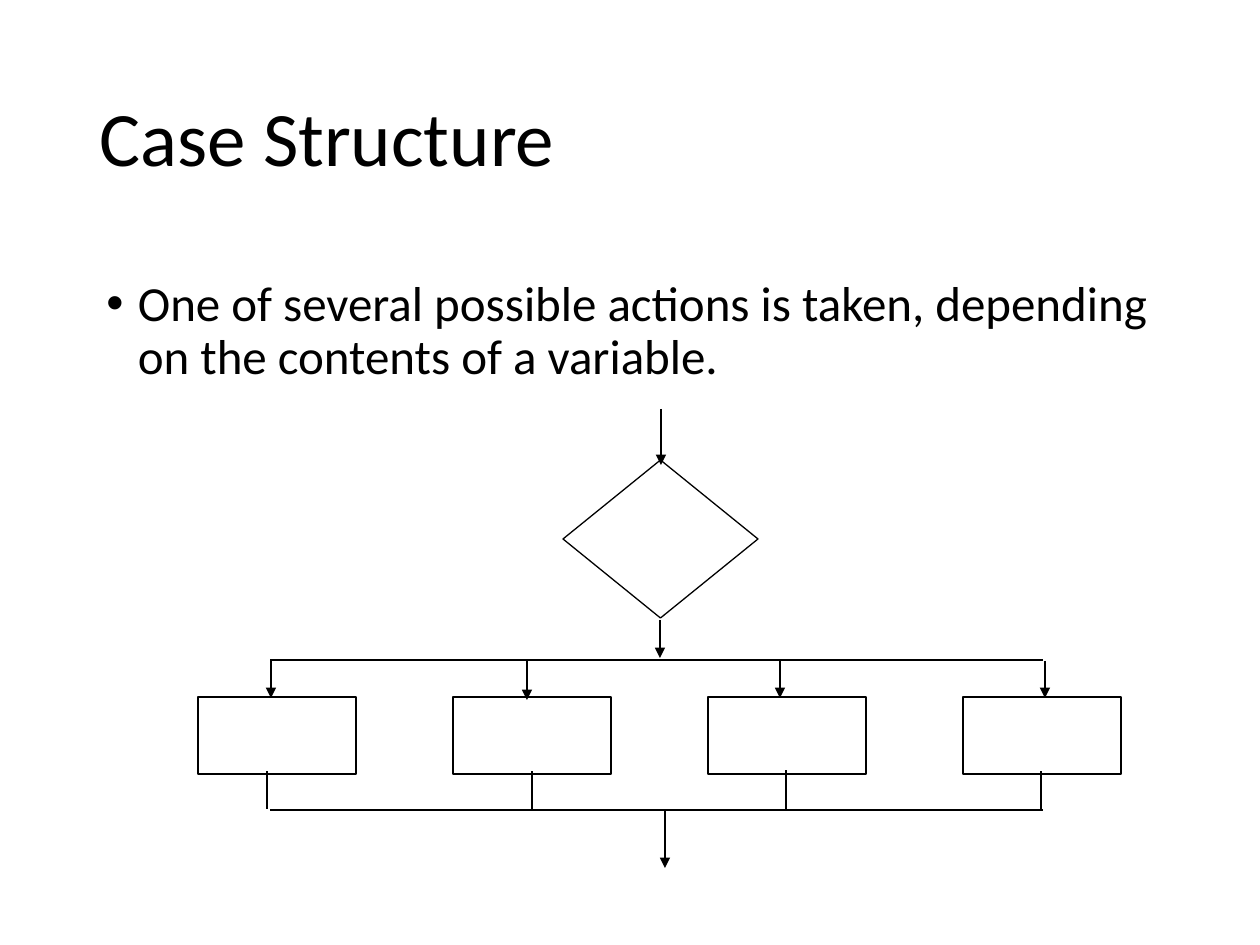
"""Build the Case Structure slide with its branching flowchart."""
from typing import NamedTuple

from lxml import etree
from pptx import Presentation
from pptx.dml.color import RGBColor
from pptx.enum.shapes import MSO_CONNECTOR, MSO_SHAPE
from pptx.enum.text import MSO_ANCHOR
from pptx.oxml.ns import qn
from pptx.util import Inches, Pt

PX = Inches(1) // 126
COLORS = {"ink": "000000", "paper": "FFFFFF"}
FONT = "Calibri"
LINE_WIDTH = Pt(0.75)


class Box(NamedTuple):
    """Position and size in pixels."""
    left: int
    top: int
    width: int
    height: int


class Line(NamedTuple):
    """Line from one point to another in pixels."""
    x1: int
    y1: int
    x2: int
    y2: int
    arrow: bool = False


class Branch(NamedTuple):
    """Entry arrow and exit line of one action."""
    entry_x: int
    entry_end: int
    exit_x: int
    exit_top: int


def ink(name: str) -> RGBColor:
    """Return a named colour."""
    return RGBColor.from_string(COLORS[name])


def add_text(slide, box: Box, text: str, size: int, anchor: MSO_ANCHOR):
    """Add a wrapped text box and return its paragraph."""
    frame = slide.shapes.add_textbox(*(v * PX for v in box)).text_frame
    frame.word_wrap = True
    frame.vertical_anchor = anchor
    paragraph = frame.paragraphs[0]
    paragraph.line_spacing = 0.9
    run = paragraph.add_run()
    run.text = text
    run.font.name = FONT
    run.font.size = Pt(size)
    run.font.color.rgb = ink("ink")
    return paragraph


def add_bullet(paragraph) -> None:
    """Give a paragraph a hanging round bullet."""
    props = paragraph._p.get_or_add_pPr()
    props.set("marL", str(Inches(0.25)))
    props.set("indent", str(-Inches(0.25)))
    etree.SubElement(props, qn("a:buFont"), typeface="Arial")
    etree.SubElement(props, qn("a:buChar"), char="•")


def add_node(slide, kind: MSO_SHAPE, box: Box) -> None:
    """Add an outlined flowchart shape without fill."""
    node = slide.shapes.add_shape(kind, *(v * PX for v in box))
    node.shadow.inherit = False
    node.fill.background()
    node.line.color.rgb = ink("ink")
    node.line.width = LINE_WIDTH


def add_line(slide, line: Line) -> None:
    """Add a straight line, with an arrowhead if asked."""
    connector = slide.shapes.add_connector(
        MSO_CONNECTOR.STRAIGHT, *(v * PX for v in line[:4]))
    connector.line.color.rgb = ink("ink")
    connector.line.width = LINE_WIDTH
    if line.arrow:
        etree.SubElement(connector.line._get_or_add_ln(), qn("a:tailEnd"), type="triangle")
    etree.SubElement(connector._element.spPr, qn("a:effectLst"))


def main() -> None:
    """Build and save the slide."""
    deck = Presentation()
    deck.slide_width, deck.slide_height = Inches(10), Inches(7.5)
    slide = deck.slides.add_slide(deck.slide_layouts[6])
    slide.background.fill.solid()
    slide.background.fill.fore_color.rgb = ink("paper")

    add_text(slide, Box(87, 50, 1086, 183), "Case Structure", 44, MSO_ANCHOR.MIDDLE)
    body = add_text(
        slide, Box(94, 273, 1104, 567),
        "One of several possible actions is taken, depending on the contents of a variable.",
        28, MSO_ANCHOR.TOP)
    body.space_before = Pt(10)
    add_bullet(body)

    add_node(slide, MSO_SHAPE.FLOWCHART_DECISION, Box(563, 460, 195, 158))
    branches = [
        Branch(271, 698, 267, 771),
        Branch(527, 700, 532, 771),
        Branch(780, 698, 786, 770),
        Branch(1045, 698, 1041, 771),
    ]
    for index, branch in enumerate(branches):
        add_node(slide, MSO_SHAPE.RECTANGLE, Box(198 + 255 * index, 697, 158, 77))
        add_line(slide, Line(branch.entry_x, 661, branch.entry_x, branch.entry_end, True))
        add_line(slide, Line(branch.exit_x, 809, branch.exit_x, branch.exit_top))

    for line in (
        Line(661, 409, 661, 465, True),
        Line(660, 620, 660, 658, True),
        Line(1043, 660, 270, 660),
        Line(270, 810, 1043, 810),
        Line(665, 811, 665, 868, True),
    ):
        add_line(slide, line)
    deck.save("out.pptx")


main()
